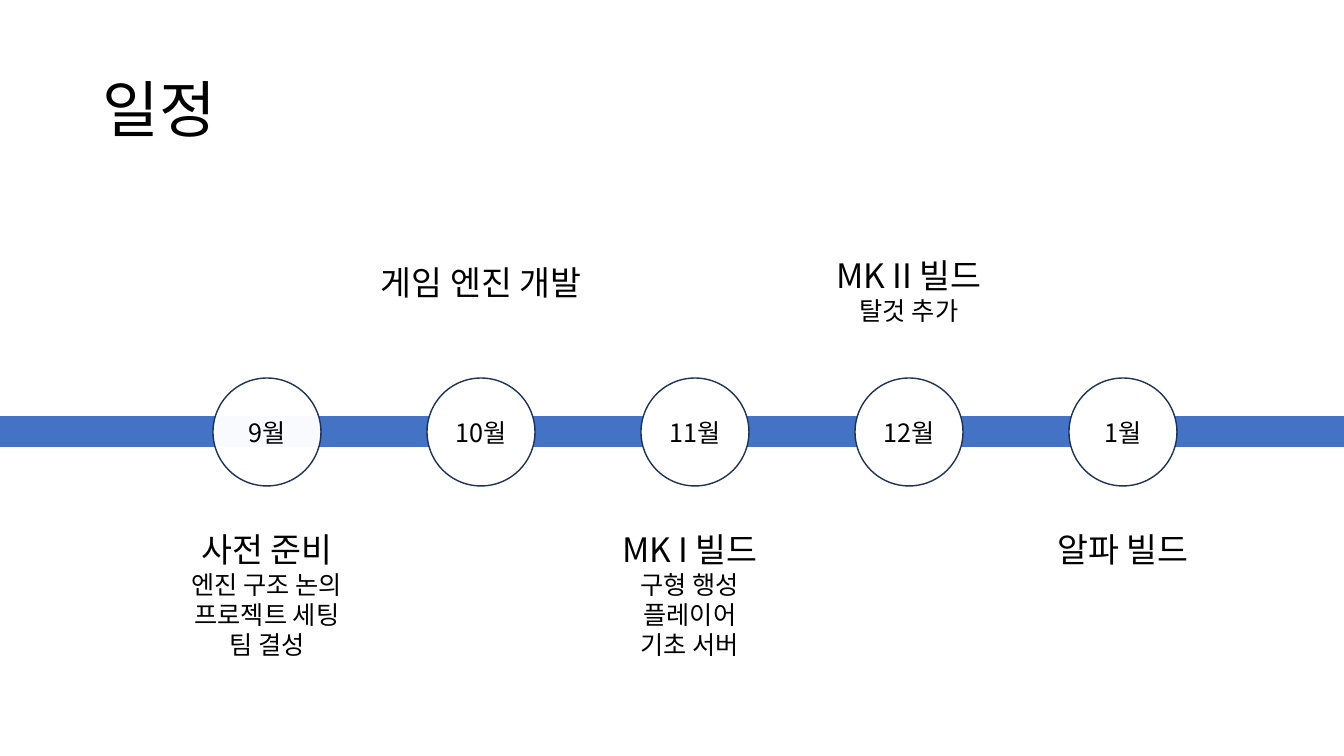
"""Build a five-month project schedule slide with a horizontal timeline."""
from lxml import etree
from pptx import Presentation
from pptx.dml.color import RGBColor
from pptx.enum.shapes import MSO_SHAPE
from pptx.enum.text import MSO_ANCHOR, PP_ALIGN
from pptx.oxml.ns import qn

RECT, OVAL = MSO_SHAPE.RECTANGLE, MSO_SHAPE.OVAL
LEFT, CENTER = PP_ALIGN.LEFT, PP_ALIGN.CENTER
TOP, MIDDLE = MSO_ANCHOR.TOP, MSO_ANCHOR.MIDDLE

TITLE = "일정"
MILESTONES = [
    {"month": "9월", "head": "사전 준비", "items": ["엔진 구조 논의", "프로젝트 세팅", "팀 결성"],
     "top": 524, "width": 192, "opacity": 97},
    {"month": "10월", "head": "게임 엔진 개발", "items": [], "top": 257, "width": 248},
    {"month": "11월", "head": "MK I 빌드", "items": ["구형 행성", "플레이어", "기초 서버"],
     "top": 524, "width": 172, "shift": -5},
    {"month": "12월", "head": "MK II 빌드", "items": ["탈것 추가"], "top": 250, "width": 181},
    {"month": "1월", "head": "알파 빌드", "items": [], "top": 524, "width": 168},
]

THEME = {
    "font": "Noto Sans CJK KR", "text": "000000", "bar": "4472C4",
    "disc": "FFFFFF", "outline": "1E3256",
    "title": 44, "head": 24, "body": 18, "line": 1,
}

PX = 914400 / 100.8
PT = 12700
SLIDE_W, SLIDE_H = 1344, 756
BAR = (0, 416, SLIDE_W, 31)
TITLE_BOX = (93, 40, 1159, 146)
DISC_X, DISC_Y, DISC_D, STEP = 213, 378, 108, 214
HEAD_H, ITEM_H = 50, 31


def emu(*lengths):
    return [round(n * PX) for n in lengths]


def add_shape(slide, kind, box, fill, line=None, opacity=100):
    s = slide.shapes.add_shape(kind, *emu(*box))
    s.shadow.inherit = False
    s.fill.solid()
    s.fill.fore_color.rgb = RGBColor.from_string(fill)
    if opacity < 100:
        color = s._element.spPr.find(qn("a:solidFill"))[0]
        etree.SubElement(color, qn("a:alpha"), val=str(opacity * 1000))
    if line:
        s.line.color.rgb = RGBColor.from_string(line)
        s.line.width = THEME["line"] * PT
    else:
        s.line.fill.background()
    return s


def write(s, lines, wrap=True, anchor=TOP, align=CENTER, spacing=None):
    tf = s.text_frame
    for name, value in {"word_wrap": wrap, "vertical_anchor": anchor}.items():
        setattr(tf, name, value)
    for i, (text, size) in enumerate(lines):
        p = tf.paragraphs[0] if i == 0 else tf.add_paragraph()
        for name, value in {"alignment": align, "line_spacing": spacing}.items():
            setattr(p, name, value)
        r = p.add_run()
        r.text = text
        for name, value in {"name": THEME["font"], "size": THEME[size] * PT}.items():
            setattr(r.font, name, value)
        r.font.color.rgb = RGBColor.from_string(THEME["text"])
        etree.SubElement(r.font._element, qn("a:ea"), typeface=THEME["font"])


def add_text(slide, box, lines, **form):
    write(slide.shapes.add_textbox(*emu(*box)), lines, **form)


def main():
    prs = Presentation()
    prs.slide_width, prs.slide_height = emu(SLIDE_W, SLIDE_H)
    slide = prs.slides.add_slide(prs.slide_layouts[6])
    add_shape(slide, RECT, BAR, THEME["bar"])
    add_text(slide, TITLE_BOX, [(TITLE, "title")], anchor=MIDDLE, align=LEFT, spacing=0.9)
    for i, m in enumerate(MILESTONES):
        x = DISC_X + i * STEP
        disc = add_shape(slide, OVAL, (x, DISC_Y, DISC_D, DISC_D), THEME["disc"],
                         THEME["outline"], m.get("opacity", 100))
        write(disc, [(m["month"], "body")], anchor=MIDDLE)
        left = x + (DISC_D - m["width"]) / 2 + m.get("shift", 0)
        height = HEAD_H + ITEM_H * len(m["items"])
        lines = [(m["head"], "head")] + [(item, "body") for item in m["items"]]
        add_text(slide, (left, m["top"], m["width"], height), lines, wrap=False)
    prs.save("out.pptx")


if __name__ == "__main__":
    main()
